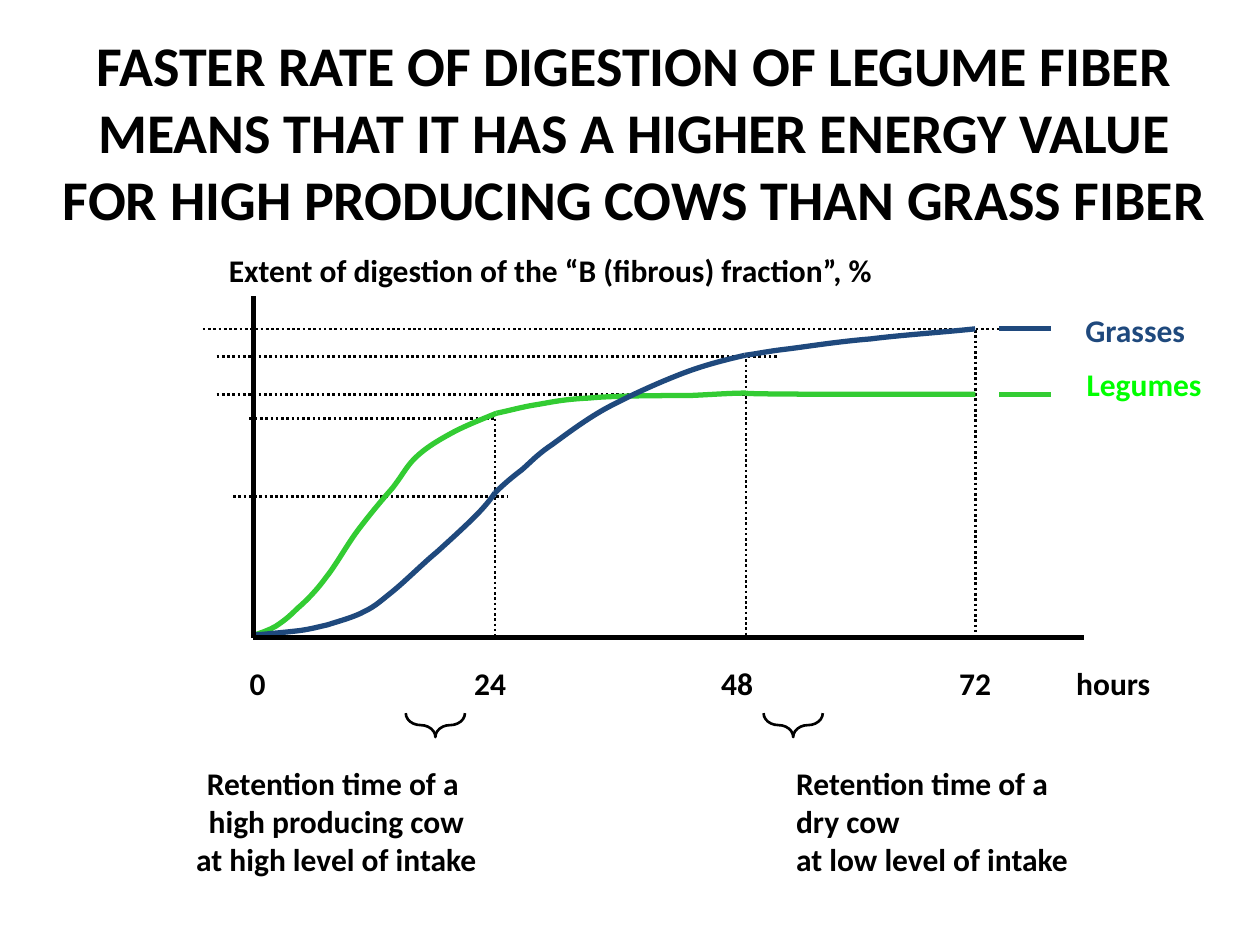
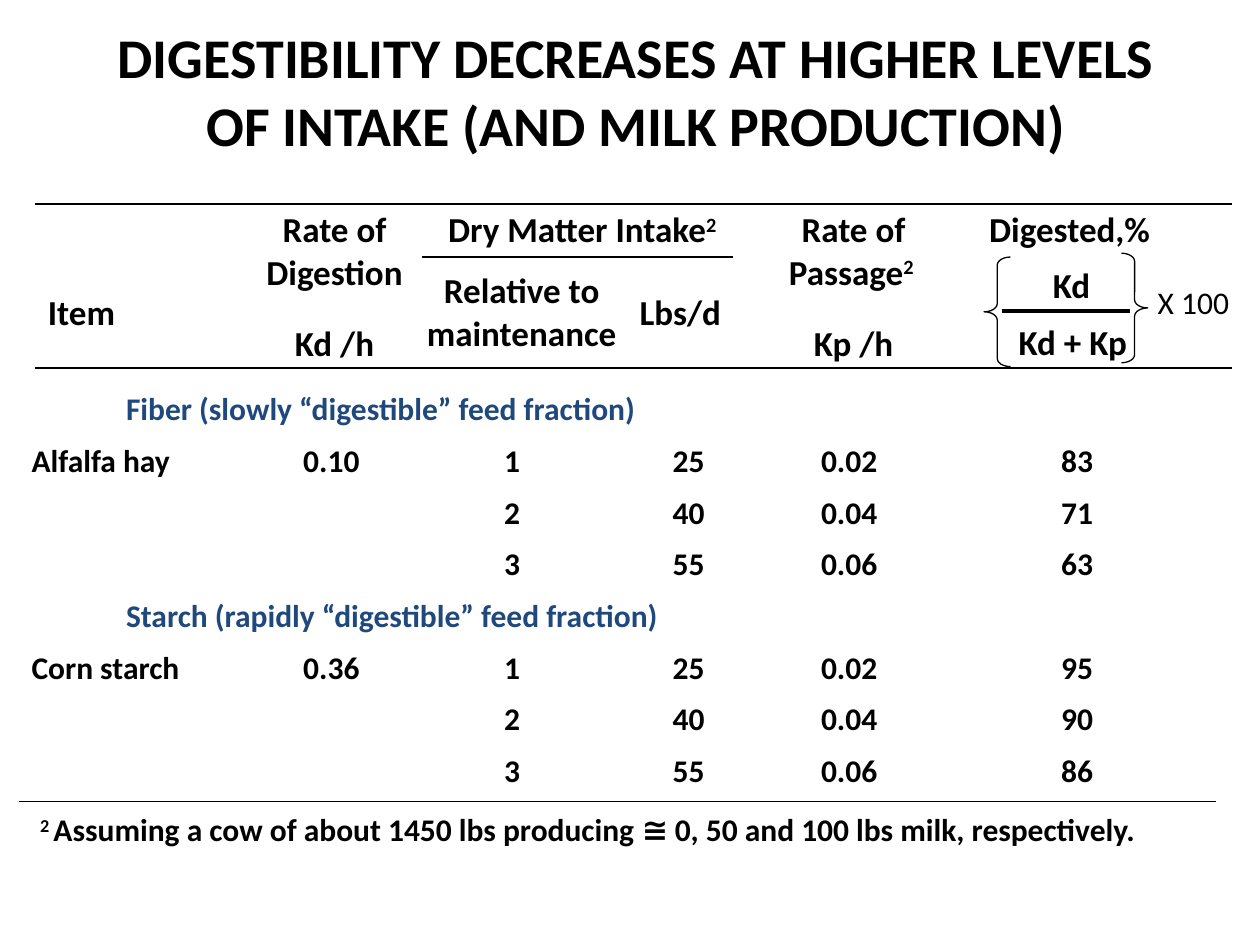
from itertools import pairwise

from lxml import etree
from pptx import Presentation, util as u
from pptx.dml.color import RGBColor
from pptx.enum import dml, shapes, text
from pptx.oxml.ns import qn

BLACK = RGBColor(0x00, 0x00, 0x00)
NAVY = RGBColor(0x1F, 0x49, 0x7D)
GREEN = RGBColor(0x33, 0xCC, 0x33)
BRIGHT_GREEN = RGBColor(0x00, 0xFF, 0x00)
FONT = "Calibri"
LEFT, CENTRE = text.PP_ALIGN.LEFT, text.PP_ALIGN.CENTER
MIDDLE, TOP = text.MSO_ANCHOR.MIDDLE, text.MSO_ANCHOR.TOP


def write(frame, lines, size=18, colour=BLACK, align=CENTRE, bold=True):
    """Fill a text frame with one paragraph a line; ² becomes a superscript 2."""
    for number, line in enumerate(lines.split("\n")):
        para = frame.add_paragraph() if number else frame.paragraphs[0]
        para.alignment = align
        for index, part in enumerate(line.replace("²", "|2 |").split("|")):
            if not part:
                continue
            span = para.add_run()
            span.text = part
            for name, value in dict(name=FONT, size=u.Pt(size), bold=bold).items():
                setattr(span.font, name, value)
            span.font.color.rgb = colour
            if index % 2:
                span.font._element.set("baseline", "30000")


def draw_line(page, x1, y1, x2, y2, width, colour=BLACK, dotted=False):
    ends = [u.Inches(value) for value in (x1, y1, x2, y2)]
    line = page.shapes.add_connector(shapes.MSO_CONNECTOR.STRAIGHT, *ends)
    line.line.color.rgb = colour
    line.line.width = u.Pt(width)
    if dotted:
        line.line.dash_style = dml.MSO_LINE.ROUND_DOT
    etree.SubElement(line._element.spPr, qn("a:effectLst"))


deck = Presentation()
deck.slide_width, deck.slide_height = u.Inches(10), u.Inches(7.5)

# Titles, in the same style on both slides
titles = [
    ("FASTER RATE OF DIGESTION OF LEGUME FIBER MEANS THAT IT HAS A HIGHER "
     "ENERGY VALUE FOR HIGH PRODUCING COWS THAN GRASS FIBER", (0.27, 0.19, 9.53, 1.7)),
    ("DIGESTIBILITY DECREASES AT HIGHER LEVELS OF INTAKE (AND MILK PRODUCTION)",
     (0.8, 0.13, 8.5, 1.17)),
]
for words, place in titles:
    page = deck.slides.add_slide(deck.slide_layouts[5])
    title = page.shapes.title
    for side, value in zip(("left", "top", "width", "height"), place):
        setattr(title, side, u.Inches(value))
    title.text_frame.auto_size = text.MSO_AUTO_SIZE.NONE
    title.text_frame.vertical_anchor = MIDDLE
    write(title.text_frame, words, 32)
curve_page, table_page = deck.slides

# Slide 1: dotted guides
ORIGIN_X, BASE_Y = 2.01, 5.06
HOUR_24, HOUR_48, HOUR_72 = 3.93, 5.92, 7.74
GRASS_END, LEGUME_END = 2.61, 3.13
for left, right, y in [(1.61, 8.1, GRASS_END), (1.72, 6.17, 2.83),
                       (1.72, 6.17, LEGUME_END), (1.98, HOUR_24, 3.32),
                       (1.85, 4.03, 3.94)]:
    draw_line(curve_page, left, y, right, y, 1.5, dotted=True)
for x, top in [(HOUR_24, 3.28), (HOUR_48, 2.81), (HOUR_72, 2.62)]:
    draw_line(curve_page, x, top, x, BASE_Y, 1.5, dotted=True)

# Digestion curves: a start point, then three Bezier points a step
legumes = [
    (2.02, 5.04), (2.08, 5.02), (2.14, 5), (2.19, 4.97), (2.25, 4.93), (2.29, 4.9),
    (2.36, 4.83), (2.43, 4.77), (2.51, 4.69), (2.59, 4.58), (2.67, 4.48), (2.75, 4.33),
    (2.84, 4.21), (2.93, 4.09), (3.03, 3.97), (3.11, 3.88), (3.19, 3.78), (3.22, 3.71),
    (3.29, 3.64), (3.37, 3.56), (3.47, 3.5), (3.58, 3.44), (3.69, 3.38), (3.82, 3.33),
    (3.94, 3.28), (4.04, 3.26), (4.14, 3.23), (4.27, 3.21), (4.39, 3.19), (4.47, 3.17),
    (4.67, 3.16), (4.87, 3.14), (5.26, 3.14), (5.47, 3.14), (5.68, 3.13), (5.8, 3.12),
    (5.92, 3.12), (5.92, 3.13), (6.83, 3.13), (HOUR_72, LEGUME_END)]
grasses = [
    (2.03, 5.04), (2.14, 5.03), (2.25, 5.02), (2.34, 5.01), (2.44, 5), (2.51, 4.98),
    (2.6, 4.96), (2.69, 4.93), (2.81, 4.9), (2.9, 4.85), (2.98, 4.81), (3.01, 4.78),
    (3.11, 4.7), (3.21, 4.62), (3.36, 4.47), (3.47, 4.38), (3.58, 4.28), (3.69, 4.18),
    (3.77, 4.1), (3.84, 4.03), (3.89, 3.97), (3.93, 3.91), (3.99, 3.85), (4.06, 3.79),
    (4.14, 3.73), (4.21, 3.67), (4.26, 3.61), (4.38, 3.53), (4.49, 3.45), (4.66, 3.32),
    (4.83, 3.23), (5, 3.14), (5.22, 3.04), (5.4, 2.97), (5.58, 2.9), (5.74, 2.86),
    (5.91, 2.82), (6, 2.81), (6.08, 2.79), (6.25, 2.77), (6.41, 2.75), (6.66, 2.71),
    (6.91, 2.69), (7.15, 2.66), (7.45, 2.64), (HOUR_72, GRASS_END)]
# Each curve is cut where it reaches 24 and 48 hours
for points, cuts, colour, end_y in [(legumes, (0, 24, 36, 39), GREEN, LEGUME_END),
                                    (grasses, (0, 21, 36, 45), NAVY, GRASS_END)]:
    for begin, end in pairwise(cuts):
        start, *rest = [(u.Inches(x), u.Inches(y)) for x, y in points[begin:end + 1]]
        builder = curve_page.shapes.build_freeform(*start)
        builder.add_line_segments(rest, close=False)
        curve = builder.convert_to_shape()
        curve.shadow.inherit = False
        curve.fill.background()
        curve.line.color.rgb = colour
        curve.line.width = u.Pt(3)
        outline = curve._element.find(".//" + qn("a:path"))
        steps = outline.findall(qn("a:lnTo"))
        for first in range(0, len(steps), 3):
            bezier = etree.SubElement(outline, qn("a:cubicBezTo"))
            for step in steps[first:first + 3]:
                bezier.append(step[0])
                outline.remove(step)
    draw_line(curve_page, 7.93, end_y, 8.34, end_y, 3, colour)  # legend key

# Axes
draw_line(curve_page, ORIGIN_X, BASE_Y, 8.6, BASE_Y, 3)
draw_line(curve_page, ORIGIN_X, 2.35, ORIGIN_X, BASE_Y, 3)

# Slide 2: table on a grid of columns and rows
COLUMN_EDGES = [0.15, 2, 3.28, 4.9, 5.9, 7.6, 9.5]
ROW_HEIGHTS = [0.38, 1.05] + [0.41] * 8
TABLE_TOP, HEADER_BOTTOM, TABLE_BOTTOM = 1.62, 2.92, 6.36
LAST_COLUMN = 5
# Left and right cell margins by column, for each kind of row
TOP_MARGINS = [(0, 0), (0.03, 0), (0.1, 0), (0, 0), (0.05, 0), (0, 0.12)]
SUB_MARGINS = [(0.23, 0), (0.03, 0), (0.1, 0), (0, 0), (0.05, 0), (0, 0)]
DATA_MARGINS = [(0.1, 0), (0, 0.02), (0, 0.05), (0.13, 0), (0, 0.02), (0, 0)]
SECTION_MARGINS = [(0.85, 0)]
rows = [
    ["", "Rate of", "Dry Matter Intake²", "", "Rate of", "Digested,%"],
    ["Item", "Digestion\nKd /h", "Relative to\nmaintenance", "Lbs/d", "Passage²\nKp /h", ""],
    ["Fiber (slowly “digestible” feed fraction)"],
    ["Alfalfa hay", "0.10", "1", "25", "0.02", "83"],
    ["", "", "2", "40", "0.04", "71"],
    ["", "", "3", "55", "0.06", "63"],
    ["Starch (rapidly “digestible” feed fraction)"],
    ["Corn starch", "0.36", "1", "25", "0.02", "95"],
    ["", "", "2", "40", "0.04", "90"],
    ["", "", "3", "55", "0.06", "86"],
]
table = table_page.shapes.add_table(
    len(rows), LAST_COLUMN + 1, u.Inches(COLUMN_EDGES[0]), u.Inches(TABLE_TOP),
    u.Inches(COLUMN_EDGES[-1] - COLUMN_EDGES[0]), u.Inches(sum(ROW_HEIGHTS))).table
table.first_row = table.horz_banding = False
for column, (left, right) in zip(table.columns, pairwise(COLUMN_EDGES)):
    column.width = u.Inches(right - left)
for row, height in zip(table.rows, ROW_HEIGHTS):
    row.height = u.Inches(height)
for cell in table.iter_cells():
    cell.fill.background()
    cell.vertical_anchor = MIDDLE
    for side in ("left", "right", "top", "bottom"):
        setattr(cell, "margin_" + side, 0)
    cell.text_frame.paragraphs[0].font.size = u.Pt(18)

table.cell(0, 2).merge(table.cell(0, 3))
for r, values in enumerate(rows):
    is_section = len(values) == 1
    if is_section:
        table.cell(r, 0).merge(table.cell(r, LAST_COLUMN))
    margins = SECTION_MARGINS if is_section else (
        TOP_MARGINS, SUB_MARGINS, DATA_MARGINS)[min(r, 2)]
    for c, (value, (left, right)) in enumerate(zip(values, margins)):
        cell = table.cell(r, c)
        cell.margin_left, cell.margin_right = u.Inches(left), u.Inches(right)
        if value:
            write(cell.text_frame, value, 20 if r < 2 else 18,
                  NAVY if is_section else BLACK, CENTRE if c else LEFT)

# Header cells: inner spacing
for c in range(LAST_COLUMN + 1):
    table.cell(0, c).margin_top = u.Inches(0.04)
for c in (1, 4):
    rate = table.cell(1, c)
    rate.vertical_anchor = TOP
    rate.text_frame.paragraphs[-1].space_before = u.Pt(16)
for c in (0, 2, 3):
    table.cell(1, c).margin_top = u.Inches(0.05)
    table.cell(1, c).margin_bottom = u.Inches(0.13)

# Rules and the fraction bar
for left, right, y, width in [(0.28, 9.78, TABLE_TOP, 0.75), (0.28, 9.78, HEADER_BOTTOM, 0.75),
                              (0.15, 9.65, TABLE_BOTTOM, 0.75), (3.35, 5.82, 2.04, 0.75),
                              (7.95, 8.97, 2.47, 2.25)]:
    draw_line(table_page, left, y, right, y, width)

# Braces on both slides: under the hour axis, and around the fraction
RIGHT_BRACE, LEFT_BRACE = shapes.MSO_SHAPE.RIGHT_BRACE, shapes.MSO_SHAPE.LEFT_BRACE
for page, kind, place, turn, curl, width in [
        (curve_page, RIGHT_BRACE, (3.36, 5.52, 0.19, 0.47), 90, 1.12, 1.5),
        (curve_page, RIGHT_BRACE, (6.2, 5.52, 0.19, 0.47), 90, 1.12, 1.5),
        (table_page, LEFT_BRACE, (7.81, 2.04, 0.21, 0.87), 0, 0.31, 0.75),
        (table_page, RIGHT_BRACE, (8.9, 2.01, 0.21, 0.87), 0, 0.31, 0.75)]:
    brace = page.shapes.add_shape(kind, *[u.Inches(value) for value in place])
    brace.rotation = turn
    brace.adjustments[0] = curl
    brace.shadow.inherit = False
    brace.fill.background()
    brace.line.color.rgb = BLACK
    brace.line.width = u.Pt(width)

# Labels on both slides
HOURS_Y = 5.22
labels = [
    (curve_page, "Extent of digestion of the “B (fibrous) fraction”, %", (1.69, 1.94, 5.36, 0.4), {}),
    (curve_page, "Grasses", (8.51, 2.42, 1, 0.4), dict(colour=NAVY)),
    (curve_page, "Legumes", (8.52, 2.85, 1.12, 0.4), dict(colour=BRIGHT_GREEN)),
    (curve_page, "0", (1.88, HOURS_Y, 0.33, 0.4), {}),
    (curve_page, "24", (3.66, HOURS_Y, 0.46, 0.4), {}),
    (curve_page, "48", (5.62, HOURS_Y, 0.46, 0.4), {}),
    (curve_page, "72", (7.51, HOURS_Y, 0.46, 0.4), {}),
    (curve_page, "hours", (8.44, HOURS_Y, 0.79, 0.4), {}),
    (curve_page, "Retention time of a \nhigh producing cow\nat high level of intake",
     (1.45, 6.01, 2.44, 1.01), {}),
    (curve_page, "Retention time of a\ndry cow\nat low level of intake",
     (6.22, 6.01, 2.38, 1.01), dict(align=LEFT)),
    (table_page, "Kd", (8.25, 2.04, 0.51, 0.43), dict(size=20)),
    (table_page, "Kd + Kp", (7.98, 2.49, 1.07, 0.44), dict(size=20)),
    (table_page, "X 100", (9.09, 2.2, 0.77, 0.4), dict(align=LEFT, bold=False)),
    (table_page, "²Assuming a cow of about 1450 lbs producing ≅ 0, 50 and 100 lbs milk, "
     "respectively.", (0.22, 6.38, 9.43, 0.4), dict(align=LEFT)),
]
for page, words, place, style in labels:
    box = page.shapes.add_textbox(*[u.Inches(value) for value in place])
    box.text_frame.word_wrap = place[2] > 9
    box.text_frame.vertical_anchor = MIDDLE
    write(box.text_frame, words, **style)

deck.save("out.pptx")
